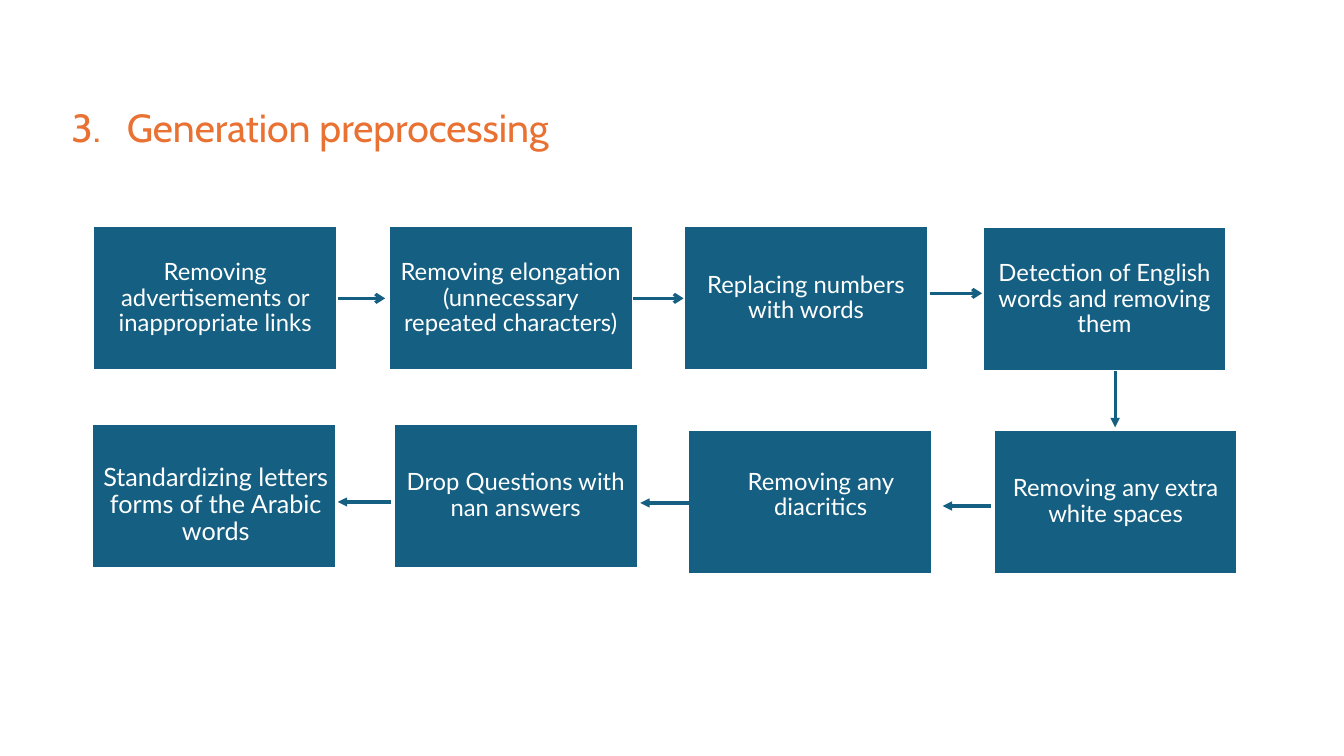
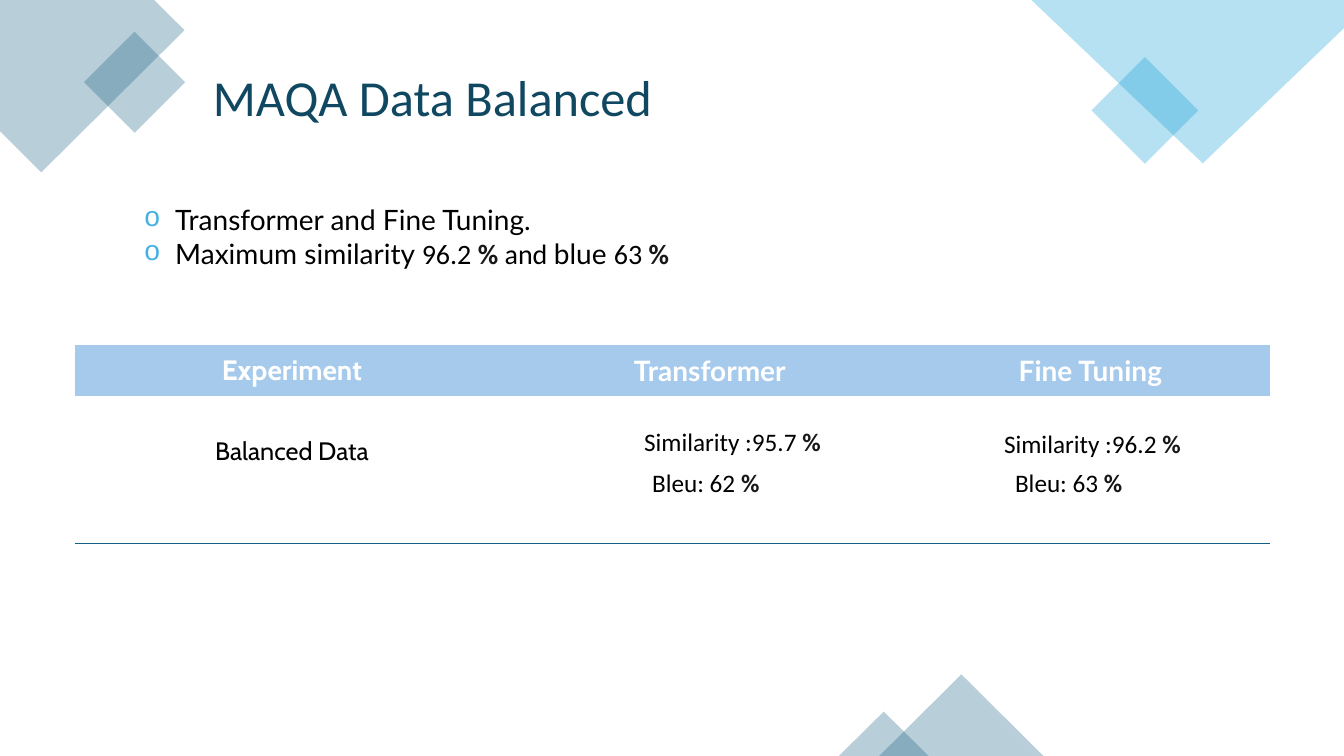
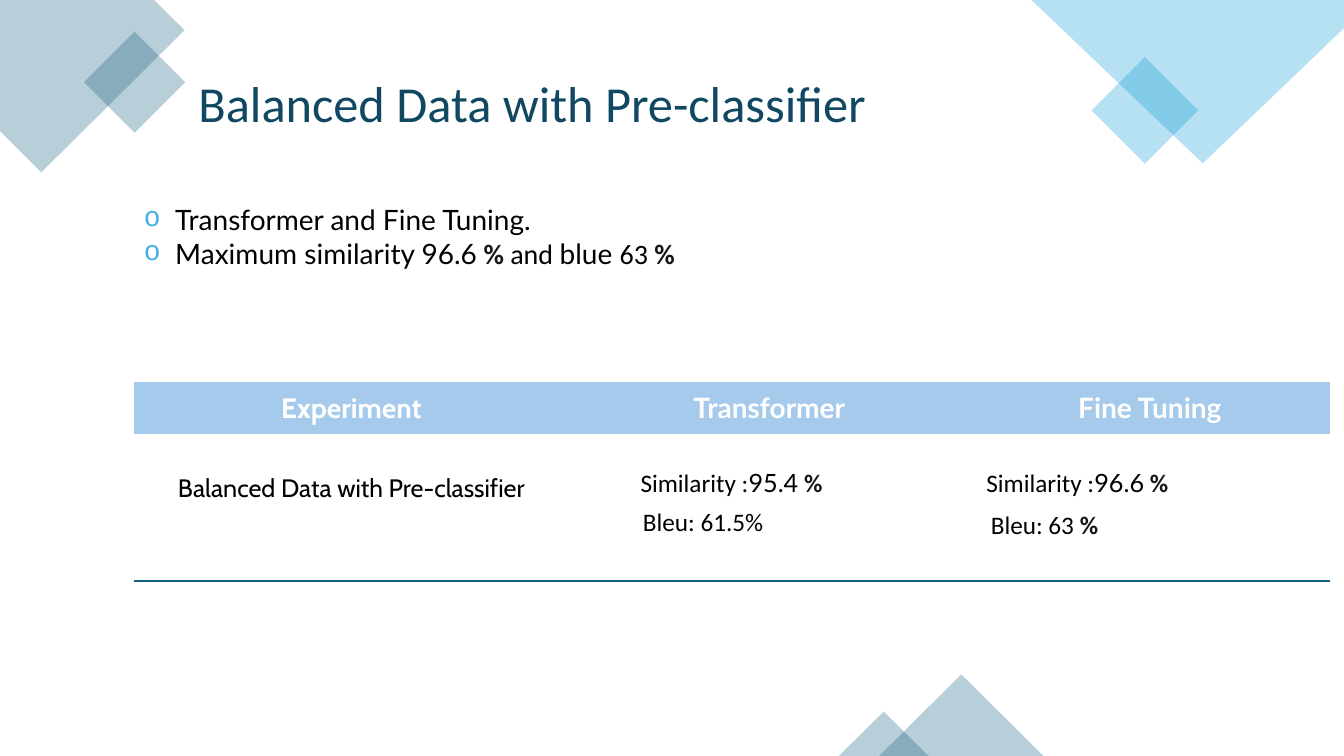
from dataclasses import dataclass, field

import lxml.etree
import pptx
import pptx.dml.color
import pptx.enum.shapes
import pptx.enum.text
import pptx.oxml.ns
import pptx.util

Inches = pptx.util.Inches
Pt = pptx.util.Pt
SHAPE = pptx.enum.shapes.MSO_SHAPE
ALIGN = pptx.enum.text.PP_ALIGN
ANCHOR = pptx.enum.text.MSO_ANCHOR

TEAL, SKY, WHITE, BLACK = "156082", "0F9ED5", "FFFFFF", "000000"
ORANGE, NAVY, DARK, HEAD, MARK = "E97132", "104862", "171717", "A6CAEC", "46B1E1"
PLAIN_STYLE = "{2D5ABB26-0587-4C30-8999-92F81FD0307C}"
WIDE, HIGH = 2.43, 1.44


@dataclass(frozen=True)
class Run:
    text: str
    size: float = 18
    font: str = "Calibri"
    color: str = BLACK
    bold: bool = False


@dataclass(frozen=True)
class Step:
    left: float
    top: float
    text: str = ""


@dataclass(frozen=True)
class Arrow:
    start: tuple[float, float]
    end: tuple[float, float]
    tip: str = "triangle"


@dataclass(frozen=True)
class Label:
    left: float
    top: float
    width: float
    runs: list[Run]
    height: float = 0.4
    spacing: float | None = None


@dataclass(frozen=True)
class Facet:
    kind: SHAPE
    left: float
    top: float
    width: float
    height: float
    color: str = TEAL
    turn: float = 0


@dataclass(frozen=True)
class Outline:
    color: str
    points: list[tuple[float, float]]


@dataclass(frozen=True)
class Result:
    title: Label
    peak: list[Run]
    left: float
    top: float
    data: str
    scores: list[Label] = field(default_factory=list)


STEPS = [
    Step(0.92, 2.24, "Removing advertisements or inappropriate links"),
    Step(3.85, 2.24, "Removing elongation (unnecessary repeated characters)"),
    Step(6.78, 2.24, "Replacing numbers with words"),
    Step(9.74, 2.25, "Detection of English words and removing them"),
    Step(9.85, 4.26, "Removing any extra white spaces"),
    Step(6.82, 4.26),
    Step(3.9, 4.2, "Drop Questions with nan answers"),
    Step(0.91, 4.2),
]

ARROWS = [
    Arrow((3.35, 2.96), (3.82, 2.96), "arrow"),
    Arrow((6.28, 2.96), (6.78, 2.96), "arrow"),
    Arrow((9.22, 2.91), (9.74, 2.91), "arrow"),
    Arrow((11.06, 3.68), (11.06, 4.24)),
    Arrow((9.83, 5.02), (9.35, 5.02)),
    Arrow((6.84, 4.99), (6.35, 4.99)),
    Arrow((3.88, 4.98), (3.35, 4.98)),
]

OUTLINES = [
    Outline(TEAL, [(1.53, 0), (0, 0), (0, 1.3), (0.41, 1.71), (1.83, 0.3)]),
    Outline(SKY, [(13.33, 0), (10.23, 0), (11.93, 1.62), (13.33, 0.28)]),
]

FACETS = [
    Facet(SHAPE.RECTANGLE, 0.98, 0.46, 0.71, 0.71, TEAL, 315),
    Facet(SHAPE.RECTANGLE, 10.98, 0.72, 0.75, 0.75, SKY, 315),
    Facet(SHAPE.ISOSCELES_TRIANGLE, 8.72, 6.69, 1.63, 0.81),
    Facet(SHAPE.ISOSCELES_TRIANGLE, 8.32, 7.06, 0.89, 0.44),
]


def lato(text: str, size: float = 20) -> Run:
    return Run(text, size, "Lato")


def percent(size: float = 18) -> Run:
    return Run(" %", size, color=DARK, bold=True)


def title(left: float, top: float, width: float, text: str) -> Label:
    return Label(left, top, width, [Run(text, 36, color=NAVY)], 0.71)


RESULTS = [
    Result(
        title(0.83, 0.61, 6.92, "MAQA Data Balanced"),
        [lato("Maximum similarity "), Run("96.2", 20)],
        0.74, 3.42, "Balanced Data",
        [
            Label(6.2, 4.18, 2.13, [Run("Similarity :95.7"), percent()]),
            Label(6.32, 4.59, 1.36, [Run("Bleu: 62"), percent()]),
            Label(9.77, 4.2, 2.13, [Run("Similarity :96.2"), percent()]),
            Label(9.92, 4.59, 1.36, [Run("Bleu: 63"), percent()]),
        ],
    ),
    Result(
        title(1.5, 0.67, 7.56, "Balanced Data with Pre-classifier"),
        [lato("Maximum similarity 96.6")],
        1.33, 3.79, "Balanced Data with Pre-classifier",
        [
            Label(6.19, 4.59, 2.13, [Run("Similarity :"), lato("95.4", 18), percent()]),
            Label(6.16, 4.97, 1.63, [Run("Bleu: 61.5%")]),
            Label(9.62, 4.59, 2.13, [Run("Similarity :"), lato("96.6", 18), percent()]),
            Label(9.68, 5, 1.36, [Run("Bleu: 63"), percent()]),
        ],
    ),
]


def paint(target, color: str) -> None:
    if hasattr(target, "solid"):
        target.solid()
        target = target.fore_color
    target.rgb = pptx.dml.color.RGBColor.from_string(color)


def add_node(parent, tag: str, **attrs: str):
    node = lxml.etree.SubElement(parent, pptx.oxml.ns.qn(tag))
    for name, value in attrs.items():
        node.set(name, value)
    return node


def write(para, runs: list[Run], align=None, spacing: float | None = None) -> None:
    para.alignment = align
    para.line_spacing = spacing
    for item in runs:
        run = para.add_run()
        run.text = item.text
        run.font.size = Pt(item.size)
        run.font.name = item.font
        run.font.bold = item.bold
        paint(run.font.color, item.color)


def hang(para, indent: float):
    props = para._p.get_or_add_pPr()
    props.set("marL", str(Inches(indent)))
    props.set("indent", str(-Inches(indent)))
    return props


def add_frame(slide, left: float, top: float, width: float, height: float):
    box = slide.shapes.add_textbox(Inches(left), Inches(top), Inches(width), Inches(height))
    box.text_frame.word_wrap = True
    return box.text_frame


def add_label(slide, label: Label) -> None:
    frame = add_frame(slide, label.left, label.top, label.width, label.height)
    write(frame.paragraphs[0], label.runs, ALIGN.CENTER, label.spacing)


def add_step(slide, step: Step) -> None:
    box = slide.shapes.add_shape(
        SHAPE.RECTANGLE, Inches(step.left), Inches(step.top), Inches(WIDE), Inches(HIGH))
    box.shadow.inherit = False
    paint(box.fill, TEAL)
    paint(box.line.color, WHITE)
    box.line.width = Pt(2.25)
    if step.text:
        frame = box.text_frame
        frame.word_wrap = True
        frame.vertical_anchor = ANCHOR.MIDDLE
        frame.margin_left = frame.margin_right = Inches(0.12)
        frame.margin_top = frame.margin_bottom = Inches(0.13)
        write(frame.paragraphs[0], [Run(step.text, 17, "Lato", WHITE)], ALIGN.CENTER, 0.9)


def add_arrow(slide, arrow: Arrow) -> None:
    ends = [Inches(value) for value in arrow.start + arrow.end]
    line = slide.shapes.add_connector(pptx.enum.shapes.MSO_CONNECTOR.STRAIGHT, *ends)
    paint(line.line.color, TEAL)
    line.line.width = Pt(2.25)
    add_node(line.line._get_or_add_ln(), "a:tailEnd", type=arrow.tip)
    add_node(line._element.spPr, "a:effectLst")


def glaze(shape, color: str) -> None:
    shape.shadow.inherit = False
    paint(shape.fill, color)
    shape.line.fill.background()
    tint = shape._element.spPr.find(".//" + pptx.oxml.ns.qn("a:srgbClr"))
    add_node(tint, "a:alpha", val="30000")


def add_decor(slide) -> None:
    for item in OUTLINES:
        points = [(Inches(x), Inches(y)) for x, y in item.points]
        path = slide.shapes.build_freeform(*points[0])
        path.add_line_segments(points[1:], close=True)
        glaze(path.convert_to_shape(), item.color)
    for item in FACETS:
        shape = slide.shapes.add_shape(
            item.kind, Inches(item.left), Inches(item.top),
            Inches(item.width), Inches(item.height))
        shape.rotation = item.turn
        glaze(shape, item.color)


def add_points(slide, peak: list[Run]) -> None:
    frame = add_frame(slide, 1.33, 1.96, 11.16, 0.77)
    ending = [percent(20), Run(" and ", 20), lato("blue "), Run("63", 20), percent(20)]
    lines = [[lato("Transformer and Fine Tuning.")], peak + ending]
    for index, runs in enumerate(lines):
        para = frame.add_paragraph() if index else frame.paragraphs[0]
        props = hang(para, 0.31)
        add_node(add_node(props, "a:buClr"), "a:srgbClr", val=MARK)
        add_node(props, "a:buFont", typeface="Courier New")
        add_node(props, "a:buChar", char="o")
        write(para, runs)


def add_grid(slide, result: Result) -> None:
    widths, heights = [4.31, 3.98, 3.57], [0.51, 1.46]
    table = slide.shapes.add_table(
        2, 3, Inches(result.left), Inches(result.top),
        Inches(sum(widths)), Inches(sum(heights))).table
    table.first_row = table.horz_banding = False
    table._tbl.tblPr.find(pptx.oxml.ns.qn("a:tableStyleId")).text = PLAIN_STYLE
    for row, height in zip(table.rows, heights):
        row.height = Inches(height)
    heads = [("Experiment", "Cabin"), ("Transformer", "Lato"), ("Fine Tuning", "Lato")]
    for index, (text, font) in enumerate(heads):
        table.columns[index].width = Inches(widths[index])
        head, body = table.cell(0, index), table.cell(1, index)
        for cell in (head, body):
            cell.margin_left = cell.margin_right = Inches(0.18)
            cell.margin_top = cell.margin_bottom = Inches(0.09)
        paint(head.fill, HEAD)
        write(head.text_frame.paragraphs[0], [Run(text, 20, font, WHITE, True)], ALIGN.CENTER)
        edge = add_node(body._tc.get_or_add_tcPr(), "a:lnB", w=str(Pt(1)))
        add_node(add_node(edge, "a:solidFill"), "a:srgbClr", val=TEAL)
        body.fill.background()
    first = table.cell(1, 0)
    first.margin_top = Inches(0.39)
    write(first.text_frame.paragraphs[0], [Run(result.data, 18, "Cabin")], ALIGN.CENTER)


def draw_steps(slide) -> None:
    for step in STEPS:
        add_step(slide, step)
    for arrow in ARROWS:
        add_arrow(slide, arrow)
    add_label(slide, Label(
        0.92, 4.56, 2.44,
        [Run("Standardizing letters forms of the Arabic words", 18, "Lato", WHITE)], 0.92, 0.9))
    add_label(slide, Label(
        6.92, 4.61, 2.44, [Run("Removing any diacritics", 17, "Lato", WHITE)], 0.62, 0.9))
    para = add_frame(slide, 0.61, 1.03, 5.29, 0.53).paragraphs[0]
    add_node(hang(para, 0.55), "a:buAutoNum", type="arabicPeriod", startAt="3")
    write(para, [Run("Generation preprocessing", 28, "Cabin", ORANGE)], spacing=0.9)


def draw_result(slide, result: Result) -> None:
    add_decor(slide)
    add_points(slide, result.peak)
    add_grid(slide, result)
    for label in result.scores + [result.title]:
        add_label(slide, label)


def main() -> None:
    deck = pptx.Presentation()
    deck.slide_width, deck.slide_height = Inches(13.33), Inches(7.5)
    blank = deck.slide_layouts[6]
    draw_steps(deck.slides.add_slide(blank))
    for result in RESULTS:
        draw_result(deck.slides.add_slide(blank), result)
    deck.save("out.pptx")


if __name__ == "__main__":
    main()
